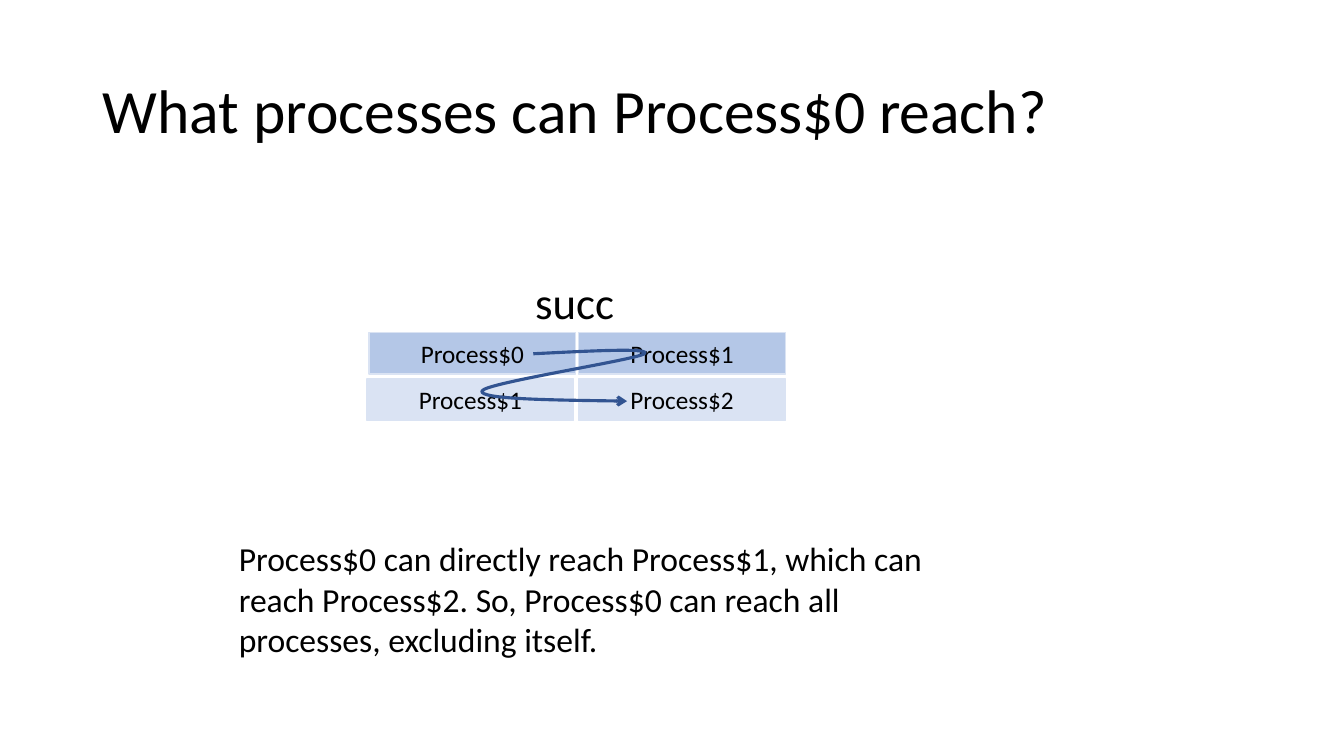
from dataclasses import dataclass

from lxml import etree
from pptx import Presentation, util as u
from pptx.dml.color import RGBColor
from pptx.enum import shapes, text
from pptx.oxml import ns


@dataclass(frozen=True)
class Theme:
    font: str = "Calibri"
    ink: str = "000000"
    upper_row: str = "B4C7E7"
    lower_row: str = "DAE3F3"
    cell_border: str = "DAE3F3"
    arrow: str = "325491"
    title_size: int = 44
    relation_size: int = 32
    body_size: int = 24
    cell_size: int = 18


def write_text(shape, content, theme, size, align=text.PP_ALIGN.LEFT,
               anchor=text.MSO_ANCHOR.TOP, line_spacing=1.0):
    frame = shape.text_frame
    frame.word_wrap = True
    frame.vertical_anchor = anchor
    paragraph = frame.paragraphs[0]
    paragraph.text = content
    paragraph.alignment = align
    paragraph.line_spacing = line_spacing
    paragraph.font.name = theme.font
    paragraph.font.size = u.Pt(size)
    paragraph.font.color.rgb = RGBColor.from_string(theme.ink)


class SlideBuilder:
    """Places elements by percentages of the slide's width and height."""

    def __init__(self, presentation, theme):
        self.presentation = presentation
        self.theme = theme
        self.slide = presentation.slides.add_slide(presentation.slide_layouts[6])

    def point(self, x, y):
        return (round(self.presentation.slide_width * x / 100),
                round(self.presentation.slide_height * y / 100))

    def box(self, left, top, width, height):
        return *self.point(left, top), *self.point(width, height)

    def text_box(self, area, content, size, **text_format):
        shape = self.slide.shapes.add_textbox(*self.box(*area))
        write_text(shape, content, self.theme, size, **text_format)

    def cell(self, area, content, fill):
        shape = self.slide.shapes.add_shape(
            shapes.MSO_SHAPE.RECTANGLE, *self.box(*area))
        shape.shadow.inherit = False
        shape.fill.solid()
        shape.fill.fore_color.rgb = RGBColor.from_string(fill)
        shape.line.color.rgb = RGBColor.from_string(self.theme.cell_border)
        shape.line.width = u.Pt(1)
        write_text(shape, content, self.theme, self.theme.cell_size,
                   align=text.PP_ALIGN.CENTER, anchor=text.MSO_ANCHOR.MIDDLE)

    def curved_arrow(self, start, curves):
        """Draw cubic curves, each given as two control points and an end."""
        builder = self.slide.shapes.build_freeform(*self.point(*start))
        builder.add_line_segments(
            [self.point(*curve[-1]) for curve in curves], close=False)
        shape = builder.convert_to_shape()
        segments = list(shape.element.iter(ns.qn("a:lnTo")))
        for segment, curve in zip(segments, curves):
            segment.tag = ns.qn("a:cubicBezTo")
            segment.clear()
            for x, y in (self.point(*position) for position in curve):
                etree.SubElement(segment, ns.qn("a:pt"),
                                 x=str(x - shape.left), y=str(y - shape.top))
        shape.shadow.inherit = False
        shape.fill.background()
        shape.line.color.rgb = RGBColor.from_string(self.theme.arrow)
        shape.line.width = u.Pt(2.25)
        etree.SubElement(shape.line._get_or_add_ln(), ns.qn("a:tailEnd"), type="arrow")


def main():
    presentation = Presentation()
    presentation.slide_width = u.Inches(13.33)
    presentation.slide_height = u.Inches(7.5)
    theme = Theme()
    builder = SlideBuilder(presentation, theme)

    builder.text_box((6.9, 5.33, 86.27, 19.33), "What processes can Process$0 reach?",
                     theme.title_size, anchor=text.MSO_ANCHOR.MIDDLE,
                     line_spacing=0.9)
    builder.text_box((39.08, 35.73, 7.95, 8.53), "succ", theme.relation_size)

    first_row, row_step = 44, 6.13
    cell_width, cell_height = 15.38, 5.47
    right_column = 43.06
    succ_rows = [
        (27.46, "Process$0", "Process$1", theme.upper_row),
        (27.31, "Process$1", "Process$2", theme.lower_row),
    ]
    for row, (left_column, source, successor, fill) in enumerate(succ_rows):
        top = first_row + row * row_step
        for left, name in ((right_column, successor), (left_column, source)):
            builder.cell((left, top, cell_width, cell_height), name, fill)

    builder.curved_arrow((39.68, 46.8), [
        ((44.11, 46.4), (48.54, 46), (47.94, 46.8)),
        ((47.34, 47.6), (36.08, 50.67), (35.86, 51.73)),
        ((35.63, 52.8), (41.19, 52.93), (46.66, 53.07)),
    ])
    builder.text_box(
        (17.03, 70.53, 54.16, 17.47),
        "Process$0 can directly reach Process$1, which can reach Process$2. "
        "So, Process$0 can reach all processes, excluding itself.",
        theme.body_size)
    presentation.save("out.pptx")


if __name__ == "__main__":
    main()
